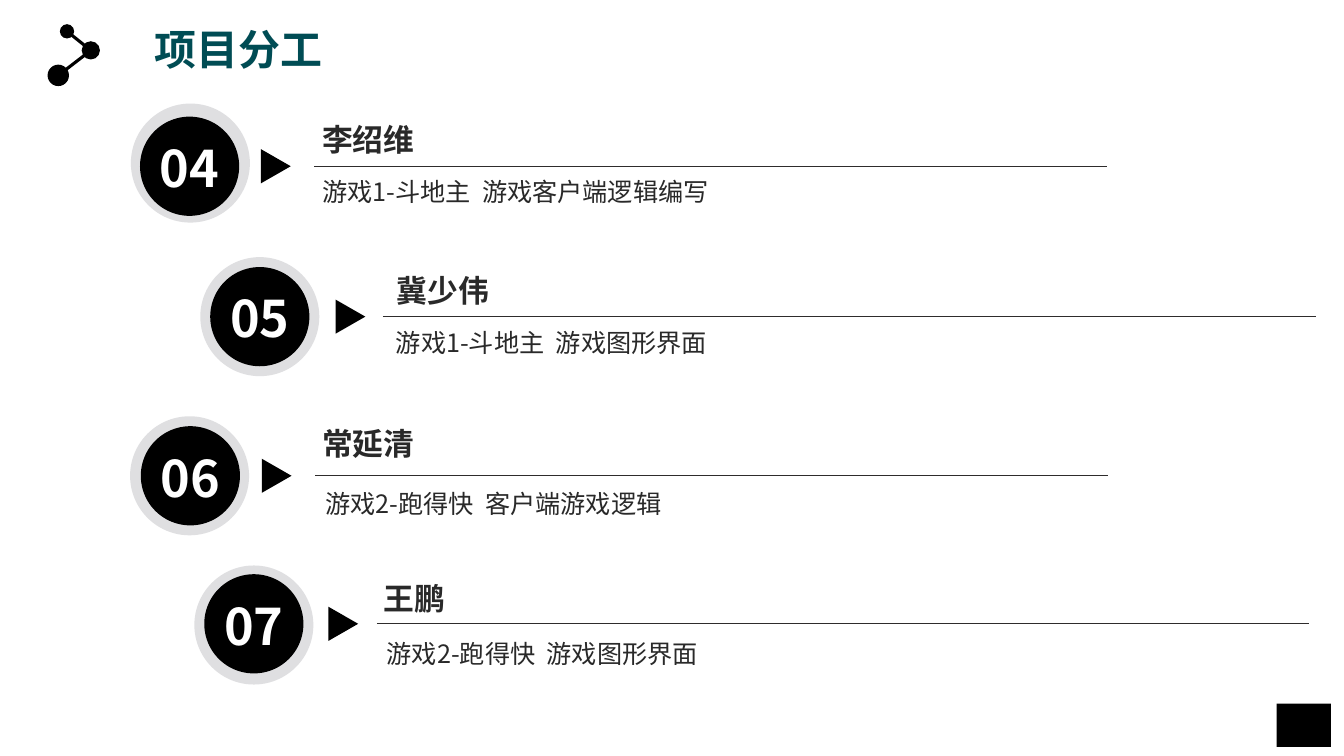
"""Build the project roles slide: four numbered members with their tasks."""
from lxml.etree import SubElement
from pptx import Presentation
from pptx.dml.color import RGBColor
from pptx.enum.shapes import MSO_CONNECTOR, MSO_SHAPE
from pptx.enum.text import PP_ALIGN
from pptx.oxml.ns import qn
from pptx.util import Cm, Pt

TITLE = "项目分工"
FONT = "Noto Sans CJK SC"
COLORS = {"title": "004C54", "text": "292929", "rule": "2E2C2C",
          "ring": "DFDFE1", "black": "000000", "white": "FFFFFF"}
MEMBERS = [
    {"number": "04", "name": "李绍维", "task": "游戏1-斗地主  游戏客户端逻辑编写",
     "disc": (4.78, 4.19), "ring": (4.8, 4.11), "arrow": 6.58, "rule": (7.92, 27.91),
     "name_at": (7.87, 2.92), "task_at": (7.87, 4.32)},
    {"number": "05", "name": "冀少伟", "task": "游戏1-斗地主  游戏图形界面",
     "disc": (6.55, 7.98), "ring": (6.55, 7.98), "arrow": 8.46, "rule": (9.65, 33.17),
     "name_at": (9.75, 6.71), "task_at": (9.73, 8.13)},
    {"number": "06", "name": "常延清", "task": "游戏2-跑得快  客户端游戏逻辑",
     "disc": (4.8, 11.99), "ring": (4.78, 11.99), "arrow": 6.6, "rule": (7.95, 27.94),
     "name_at": (7.87, 10.57), "task_at": (7.95, 12.19)},
    {"number": "07", "name": "王鹏", "task": "游戏2-跑得快  游戏图形界面",
     "disc": (6.4, 15.72), "ring": (6.4, 15.75), "arrow": 8.28, "rule": (9.5, 32.99),
     "name_at": (9.42, 14.48), "task_at": (9.5, 15.95)},
]
ICON_NODES = [((1.69, 0.79), 0.18), ((2.29, 1.27), 0.23), ((1.47, 1.9), 0.27)]
RING_RADIUS, DISC_RADIUS = 1.5, 1.25
ARROW_WIDTH, ARROW_HALF = 0.75, 0.43
NUMBER_WIDTH, NUMBER_RISE = 2.51, 0.86


def paint(shape, color):
    shape.shadow.inherit = False
    shape.fill.solid()
    shape.fill.fore_color.rgb = RGBColor.from_string(COLORS[color])
    shape.line.fill.background()


def add_circle(shapes, center, radius, color):
    x, y = center
    circle = shapes.add_shape(MSO_SHAPE.OVAL, Cm(x - radius), Cm(y - radius),
                              Cm(2 * radius), Cm(2 * radius))
    paint(circle, color)


def add_line(shapes, start, end, color, width):
    line = shapes.add_connector(MSO_CONNECTOR.STRAIGHT, *map(Cm, start + end))
    line.line.color.rgb = RGBColor.from_string(COLORS[color])
    line.line.width = Pt(width)
    SubElement(line._element.spPr, qn("a:effectLst"))


def add_arrow(shapes, left, middle):
    outline = shapes.build_freeform(Cm(left), Cm(middle - ARROW_HALF))
    outline.add_line_segments([(Cm(left + ARROW_WIDTH), Cm(middle)),
                               (Cm(left), Cm(middle + ARROW_HALF))], close=True)
    paint(outline.convert_to_shape(), "black")


def add_text(shapes, text, at, size, points, color, bold=True, align=PP_ALIGN.LEFT):
    frame = shapes.add_textbox(*map(Cm, at + size)).text_frame
    frame.word_wrap = True
    paragraph = frame.paragraphs[0]
    paragraph.text = text
    paragraph.alignment = align
    font = paragraph.font
    font.size, font.bold, font.name = Pt(points), bold, FONT
    font.color.rgb = RGBColor.from_string(COLORS[color])
    SubElement(font._element, qn("a:ea"), typeface=FONT)


def add_icon(shapes):
    for (start, _), (end, _) in zip(ICON_NODES, ICON_NODES[1:]):
        add_line(shapes, start, end, "black", 2.25)
    for center, radius in ICON_NODES:
        add_circle(shapes, center, radius, "black")


def add_member(shapes, member):
    x, y = member["disc"]
    rule_start, rule_end = member["rule"]
    add_circle(shapes, member["ring"], RING_RADIUS, "ring")
    add_circle(shapes, member["disc"], DISC_RADIUS, "black")
    add_text(shapes, member["number"], (x - NUMBER_WIDTH / 2, y - NUMBER_RISE),
             (NUMBER_WIDTH, 1.78), 36, "white", align=PP_ALIGN.CENTER)
    add_arrow(shapes, member["arrow"], y)
    add_line(shapes, (rule_start, y), (rule_end, y), "rule", 0.75)
    add_text(shapes, member["name"], member["name_at"], (10.2, 1.19), 22, "text")
    add_text(shapes, member["task"], member["task_at"], (20.07, 1.02), 18, "text", bold=False)


def main():
    presentation = Presentation()
    presentation.slide_width, presentation.slide_height = Cm(33.88), Cm(19.05)
    shapes = presentation.slides.add_slide(presentation.slide_layouts[6]).shapes
    corner = shapes.add_shape(MSO_SHAPE.RECTANGLE, Cm(32.18), Cm(17.73), Cm(1.37), Cm(1.09))
    paint(corner, "black")
    add_text(shapes, TITLE, (3.41, 0.48), (5.22, 1.52), 30, "title", align=PP_ALIGN.CENTER)
    add_icon(shapes)
    for member in MEMBERS:
        add_member(shapes, member)
    presentation.save("out.pptx")


if __name__ == "__main__":
    main()
